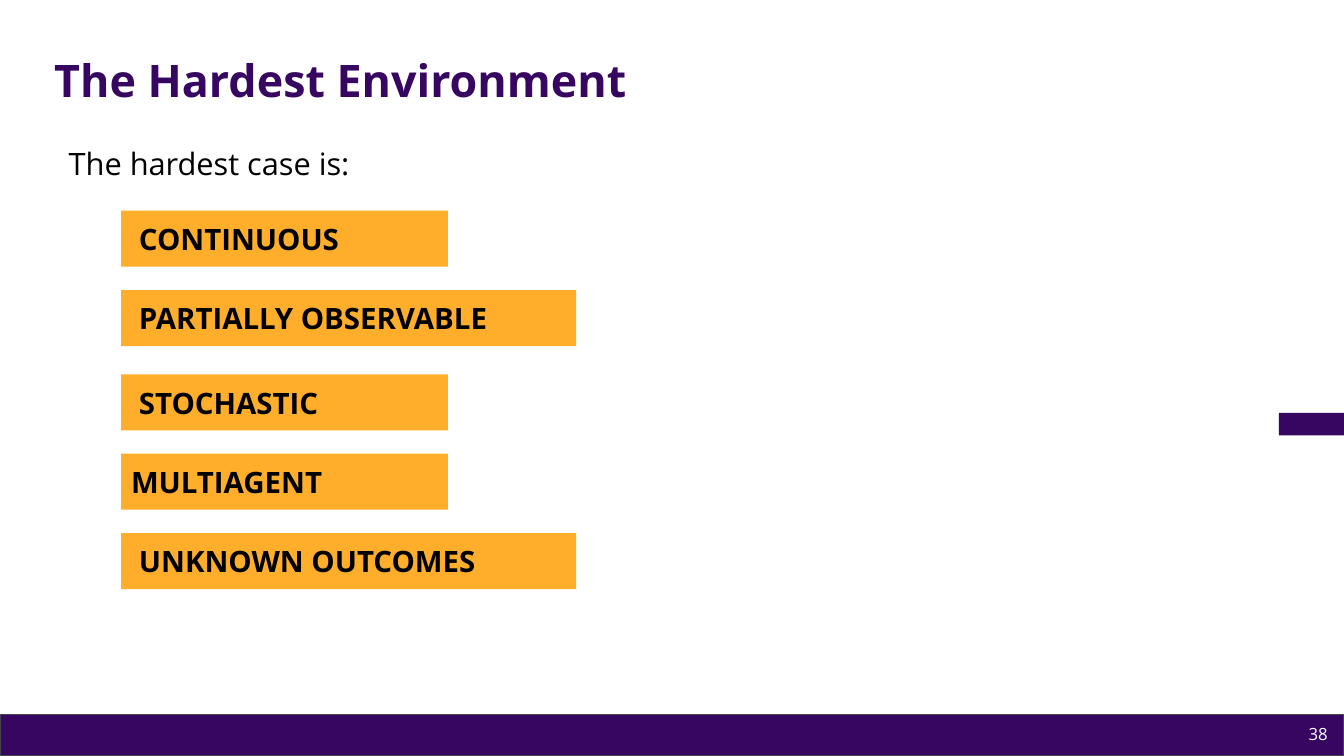
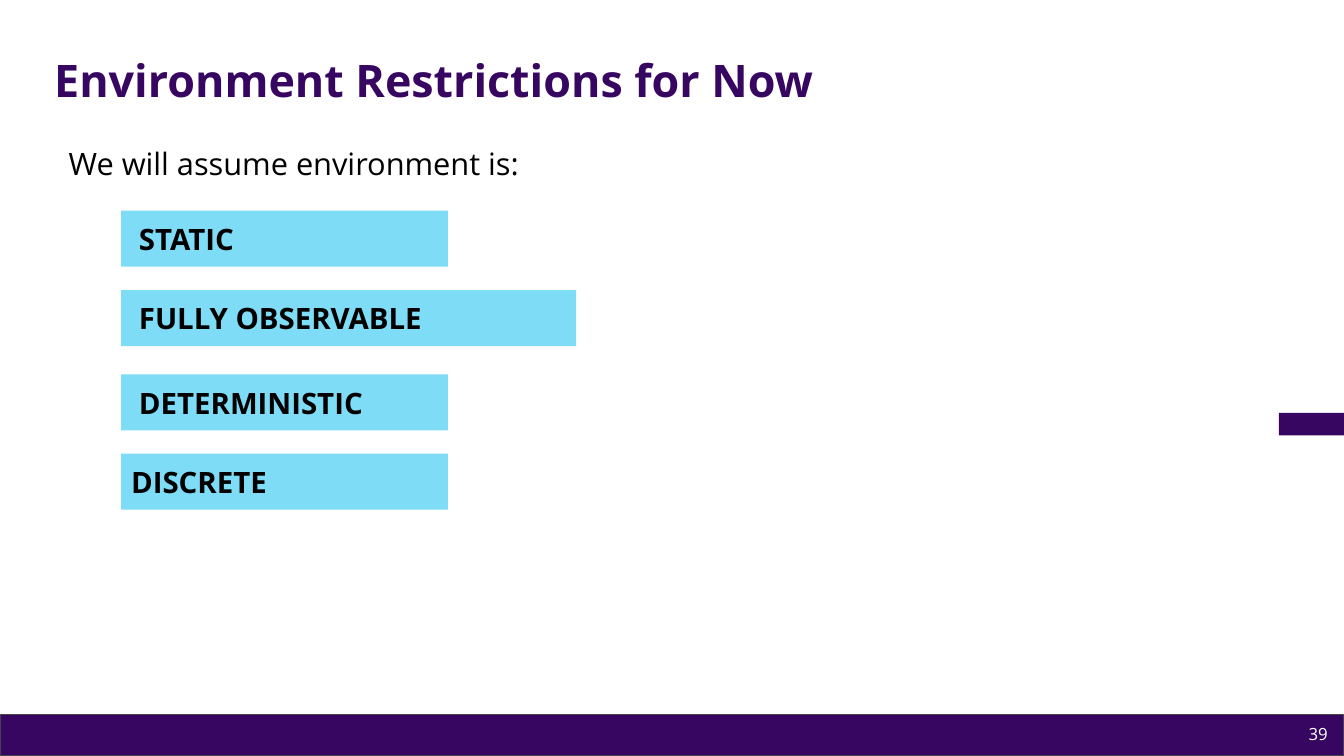
from pptx import Presentation
from pptx.dml.color import RGBColor
from pptx.enum import shapes, text
from pptx.util import Pt

FONT = "Open Sans"
PURPLE = RGBColor(0x37, 0x06, 0x61)
TITLE_PURPLE = RGBColor(0x37, 0x06, 0x60)
GREY = RGBColor(0x43, 0x45, 0x4B)
ORANGE = RGBColor(0xFF, 0xAE, 0x2B)
SKY = RGBColor(0x7E, 0xDC, 0xF6)
BLACK = RGBColor(0, 0, 0)
WHITE = RGBColor(0xFF, 0xFF, 0xFF)

SLIDES = [
    {"title": "The Hardest Environment", "number": "38",
     "lead": "The hardest case is:", "color": ORANGE,
     "labels": ["CONTINUOUS", "PARTIALLY OBSERVABLE", "STOCHASTIC",
                "MULTIAGENT", "UNKNOWN OUTCOMES"]},
    {"title": "Environment Restrictions for Now", "number": "39",
     "lead": "We will assume environment is:", "color": SKY,
     "labels": ["STATIC", "FULLY OBSERVABLE", "DETERMINISTIC", "DISCRETE"]},
]

SLIDE_WIDTH, SLIDE_HEIGHT = 960, 540
FOOTER_HEIGHT = 29.5
LABEL_LEFT, LABEL_HEIGHT = 86.5, 40
NARROW, WIDE = 233.5, 325
INSET, INDENTED = 7.2, 12.7
# top, width and left inset of each label
LABEL_ROWS = [(150.5, NARROW, INDENTED), (207.3, WIDE, INDENTED),
              (267.4, NARROW, INDENTED), (324, NARROW, INSET),
              (380.8, WIDE, INDENTED)]


def write(shape, content, size, color=BLACK, bold=False,
          align=text.PP_ALIGN.LEFT, anchor=text.MSO_ANCHOR.MIDDLE,
          line_spacing=None, left=INSET, vertical=3.6):
    frame = shape.text_frame
    frame.word_wrap = True
    frame.auto_size = text.MSO_AUTO_SIZE.NONE
    frame.vertical_anchor = anchor
    frame.margin_left, frame.margin_right = Pt(left), Pt(INSET)
    frame.margin_top = frame.margin_bottom = Pt(vertical)
    paragraph = frame.paragraphs[0]
    paragraph.alignment = align
    if line_spacing:
        paragraph.line_spacing = line_spacing
    run = paragraph.add_run()
    run.text = content
    run.font.name, run.font.size, run.font.bold = FONT, Pt(size), bold
    run.font.color.rgb = color


def add_box(slide, left, top, width, height, fill, line=None):
    shape = slide.shapes.add_shape(shapes.MSO_SHAPE.RECTANGLE, Pt(left),
                                   Pt(top), Pt(width), Pt(height))
    shape.shadow.inherit = False
    shape.fill.solid()
    shape.fill.fore_color.rgb = fill
    if line is None:
        shape.line.fill.background()
    else:
        shape.line.color.rgb = line
        shape.line.width = Pt(0.75)
    return shape


def add_text(slide, left, top, width, height, content, size, **style):
    box = slide.shapes.add_textbox(Pt(left), Pt(top), Pt(width), Pt(height))
    write(box, content, size, **style)


def add_frame(slide, title, number):
    """Add what all slides share: title, footer band, side tab and number."""
    heading = slide.shapes.title
    heading.left, heading.top = Pt(31.5), Pt(29)
    heading.width, heading.height = Pt(862.5), Pt(60.5)
    write(heading, title, 32, color=TITLE_PURPLE, bold=True, line_spacing=0.9)
    add_box(slide, 0, SLIDE_HEIGHT - FOOTER_HEIGHT, SLIDE_WIDTH,
            FOOTER_HEIGHT, PURPLE, line=GREY)
    add_box(slide, 913.5, 295, 46.5, 16, PURPLE)
    add_text(slide, 739.5, 510, 216, 28.8, number, 12, color=WHITE,
             align=text.PP_ALIGN.RIGHT)


def build_slide(presentation, content):
    slide = presentation.slides.add_slide(presentation.slide_layouts[5])
    add_frame(slide, content["title"], content["number"])
    add_text(slide, 42, 103, 816, 40, content["lead"], 22,
             anchor=text.MSO_ANCHOR.TOP, line_spacing=0.9)
    for label, (top, width, left) in zip(content["labels"], LABEL_ROWS):
        box = add_box(slide, LABEL_LEFT, top, width, LABEL_HEIGHT,
                      content["color"])
        write(box, label, 21, bold=True, left=left,
              anchor=text.MSO_ANCHOR.MIDDLE)


def main():
    presentation = Presentation()
    presentation.slide_width = Pt(SLIDE_WIDTH)
    presentation.slide_height = Pt(SLIDE_HEIGHT)
    for content in SLIDES:
        build_slide(presentation, content)
    presentation.save("out.pptx")


if __name__ == "__main__":
    main()
